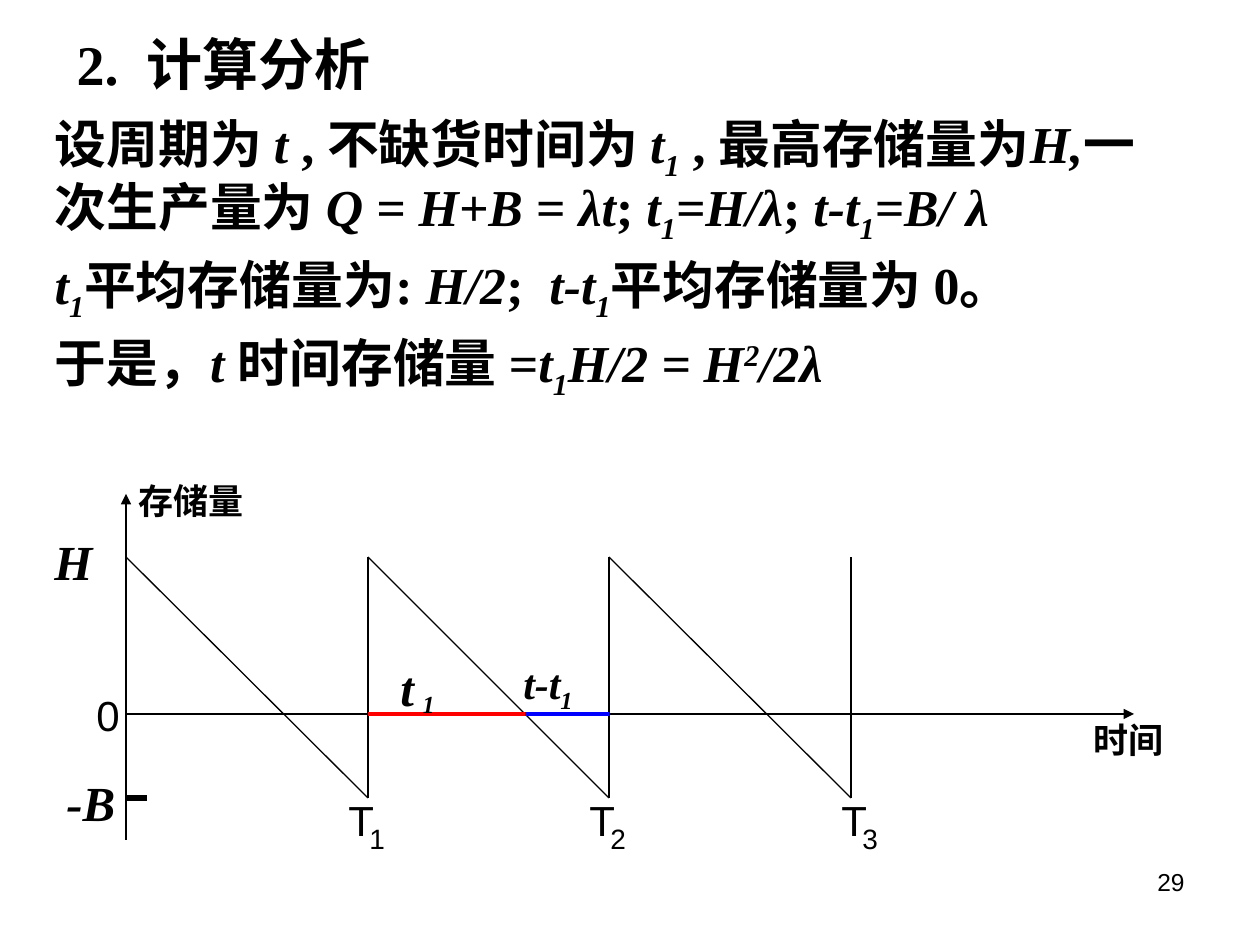
from lxml import etree
from pptx import Presentation
from pptx.dml.color import RGBColor
from pptx.enum.shapes import MSO_CONNECTOR
from pptx.enum.text import MSO_ANCHOR, MSO_AUTO_SIZE, PP_ALIGN
from pptx.oxml.ns import qn
from pptx.util import Pt

PX = 914400 / 126
BLACK = RGBColor(0, 0, 0)
RED = RGBColor(255, 0, 0)
BLUE = RGBColor(0, 0, 255)
WHITE = RGBColor(255, 255, 255)
SERIF = "Times New Roman"
SANS = "Arial"
STRAIGHT = MSO_CONNECTOR.STRAIGHT
LEFT, RIGHT = PP_ALIGN.LEFT, PP_ALIGN.RIGHT
TOP, MIDDLE = MSO_ANCHOR.TOP, MSO_ANCHOR.MIDDLE
NO_FIT, GROW = MSO_AUTO_SIZE.NONE, MSO_AUTO_SIZE.SHAPE_TO_FIT_TEXT

PLAIN, ITALIC, SUB, SUPER = "plain", "italic", "sub", "super"
BASELINES = {SUB: "-25000", SUPER: "30000"}

DERIVATION = [
    [("设周期为 ", PLAIN), ("t", ITALIC), (" , 不缺货时间为 ", PLAIN),
     ("t", ITALIC), ("1", SUB), (" , 最高存储量为", PLAIN), ("H,", ITALIC),
     ("一次生产量为 ", PLAIN), ("Q = H+B", ITALIC), (" = ", PLAIN),
     ("λt", ITALIC), ("; ", PLAIN), ("t", ITALIC), ("1", SUB),
     ("=H/λ", ITALIC), ("; ", PLAIN), ("t-t", ITALIC), ("1", SUB),
     ("=B/ λ", ITALIC)],
    [("t", ITALIC), ("1", SUB), ("平均存储量为: ", PLAIN), ("H/2", ITALIC),
     (";  ", PLAIN), ("t-t", ITALIC), ("1", SUB), ("平均存储量为 0。", PLAIN)],
    [("于是，", PLAIN), ("t ", ITALIC), ("时间存储量 =", PLAIN), ("t", ITALIC),
     ("1", SUB), ("H/2 = H", ITALIC), ("2", SUPER), ("/2λ", ITALIC)],
]

ORIGIN_X = 126
CYCLE_ENDS = [368, 609, 851]
STOCKOUT_X = 525
PEAK_Y, ZERO_Y, SHORTAGE_Y = 557, 714, 798


def px(length):
    return round(length * PX)


def place(shape, left, top, width, height):
    shape.left, shape.top = px(left), px(top)
    shape.width, shape.height = px(width), px(height)


def add_run(paragraph, text, size, font=SERIF, bold=True, style=PLAIN):
    run = paragraph.add_run()
    run.text = text
    run.font.name = font
    run.font.size = Pt(size)
    run.font.bold = bold
    run.font.italic = style != PLAIN
    run.font.color.rgb = BLACK
    if style in BASELINES:
        run._r.get_or_add_rPr().set("baseline", BASELINES[style])


def fill_title(title):
    place(title, 64, 20, 1071, 86)
    frame = title.text_frame
    frame.auto_size = NO_FIT
    frame.vertical_anchor = MIDDLE
    heading = frame.paragraphs[0]
    heading.alignment = LEFT
    add_run(heading, "2.  计算分析", 32)


def fill_body(body):
    place(body, 42, 106, 1166, 338)
    frame = body.text_frame
    frame.auto_size = NO_FIT
    frame.vertical_anchor = TOP
    frame.margin_right = px(25)
    for index, pieces in enumerate(DERIVATION):
        step = frame.add_paragraph() if index else frame.paragraphs[0]
        step.alignment = LEFT
        step.line_spacing = 0.9
        step.space_before = Pt(8)
        properties = step._p.get_or_add_pPr()
        properties.set("marL", "0")
        properties.set("indent", "0")
        etree.SubElement(properties, qn("a:buNone"))
        for text, style in pieces:
            add_run(step, text, 29.6, style=style)


def add_label(slide, text, left, top, width, height, size, font=SANS,
              bold=False, style=PLAIN):
    label = slide.shapes.add_textbox(px(left), px(top), px(width), px(height))
    frame = label.text_frame
    frame.word_wrap = True
    frame.auto_size = GROW
    paragraph = frame.paragraphs[0]
    paragraph.space_before = Pt(size * 0.625)
    add_run(paragraph, text, size, font, bold, style)
    return paragraph


def add_symbol(slide, text, left, top, width, height, size):
    add_label(slide, text, left, top, width, height, size, SERIF, True, ITALIC)


def add_line(slide, start, end, color=BLACK, weight=0.75, arrow=False):
    line = slide.shapes.add_connector(STRAIGHT, *map(px, start + end))
    line.line.color.rgb = color
    line.line.width = Pt(weight)
    properties = line._element.spPr
    if arrow:
        etree.SubElement(properties.find(qn("a:ln")), qn("a:tailEnd"),
                         type="triangle")
    etree.SubElement(properties, qn("a:effectLst"))


def add_axes(slide):
    add_line(slide, (ORIGIN_X, 840), (ORIGIN_X, 494), arrow=True)
    add_line(slide, (ORIGIN_X, ZERO_Y), (1134, ZERO_Y), arrow=True)
    add_label(slide, "存储量", 126, 473, 136, 55, 20, bold=True)
    add_label(slide, "时间", 1081, 712, 136, 55, 20, bold=True)
    add_symbol(slide, "H", 42, 525, 95, 72, 28)
    add_label(slide, "0", 84, 683, 42, 63, 24)
    add_symbol(slide, "-B", 54, 766, 82, 72, 28)


def add_cycles(slide):
    for start, end in zip([ORIGIN_X] + CYCLE_ENDS, CYCLE_ENDS):
        add_line(slide, (start, PEAK_Y), (end, SHORTAGE_Y))
        add_line(slide, (end, SHORTAGE_Y), (end, PEAK_Y))
    for number, left in enumerate([336, 577, 829], 1):
        add_label(slide, "T", left, 788, 73, 63, 24)
        add_label(slide, str(number), left + 21, 815, 53, 46, 16)


def add_intervals(slide):
    cycle_start, cycle_end = CYCLE_ENDS[:2]
    add_line(slide, (cycle_start, ZERO_Y), (STOCKOUT_X, ZERO_Y), RED, 2.5)
    add_line(slide, (STOCKOUT_X, ZERO_Y), (cycle_end, ZERO_Y), BLUE, 2.5)
    add_symbol(slide, "t", 388, 651, 42, 72, 28)
    add_symbol(slide, "t-t", 511, 651, 73, 63, 24)
    add_symbol(slide, "1", 410, 683, 42, 43, 14)
    add_symbol(slide, "1", 548, 679, 42, 43, 14)
    add_line(slide, (ORIGIN_X, SHORTAGE_Y), (147, SHORTAGE_Y), weight=3)


def main():
    deck = Presentation()
    deck.slide_width, deck.slide_height = px(1260), px(945)
    slide = deck.slides.add_slide(deck.slide_layouts[1])
    slide.background.fill.solid()
    slide.background.fill.fore_color.rgb = WHITE
    fill_title(slide.shapes.title)
    fill_body(slide.placeholders[1])
    add_axes(slide)
    add_cycles(slide)
    add_intervals(slide)
    page_number = add_label(slide, "29", 903, 861, 294, 66, 14)
    page_number.alignment = RIGHT
    page_number.space_before = Pt(0)
    deck.save("out.pptx")


if __name__ == "__main__":
    main()
